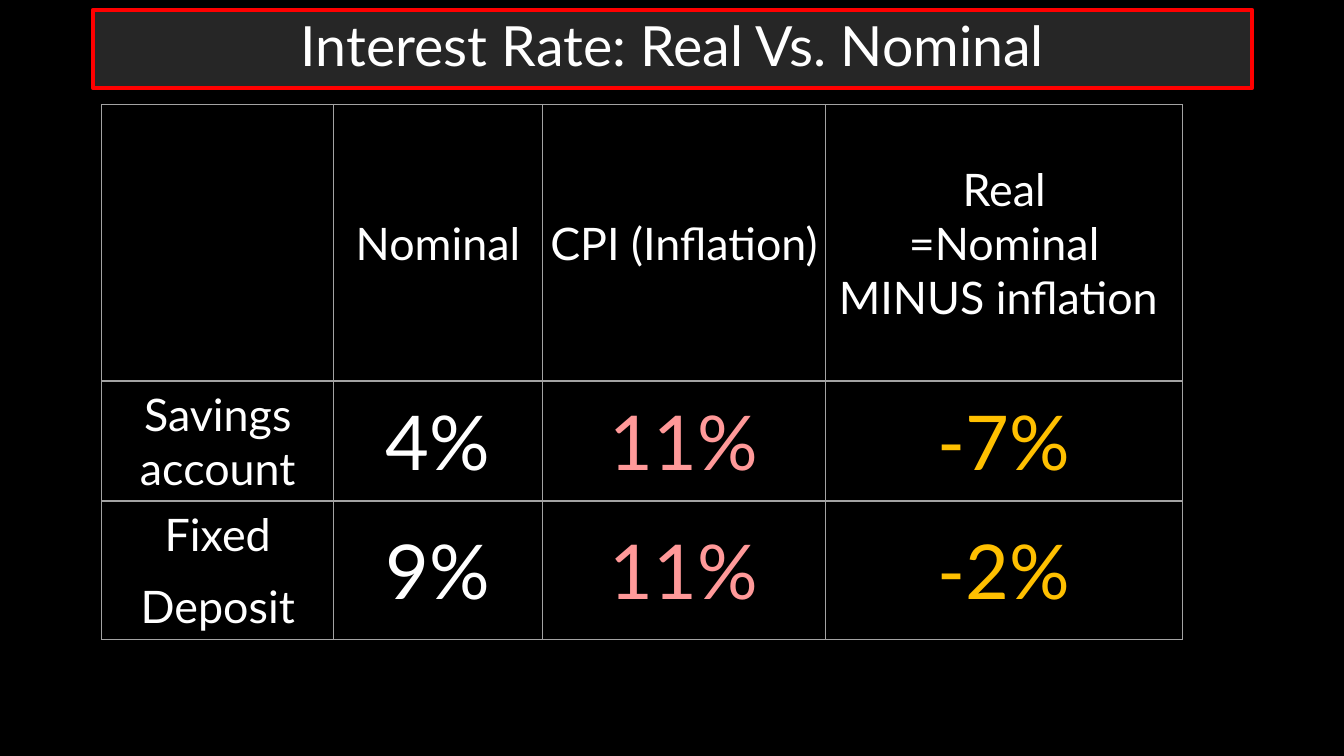
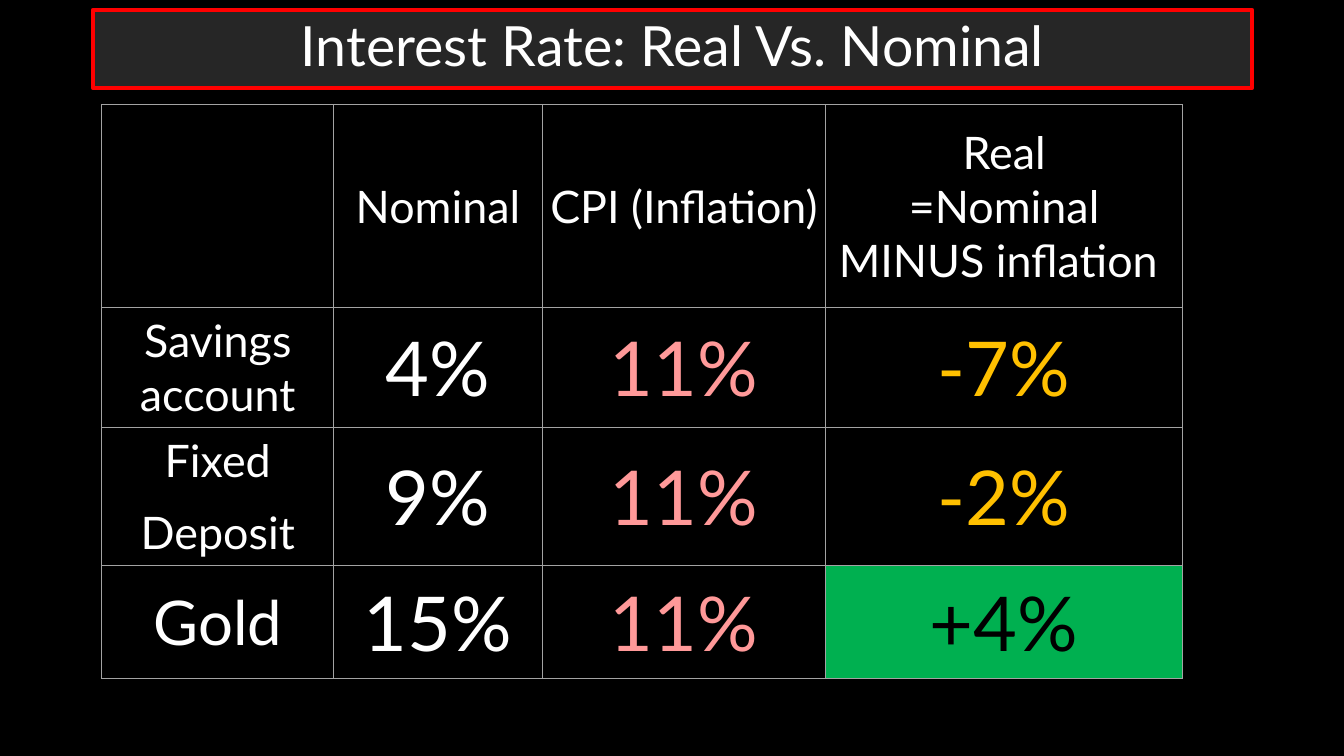
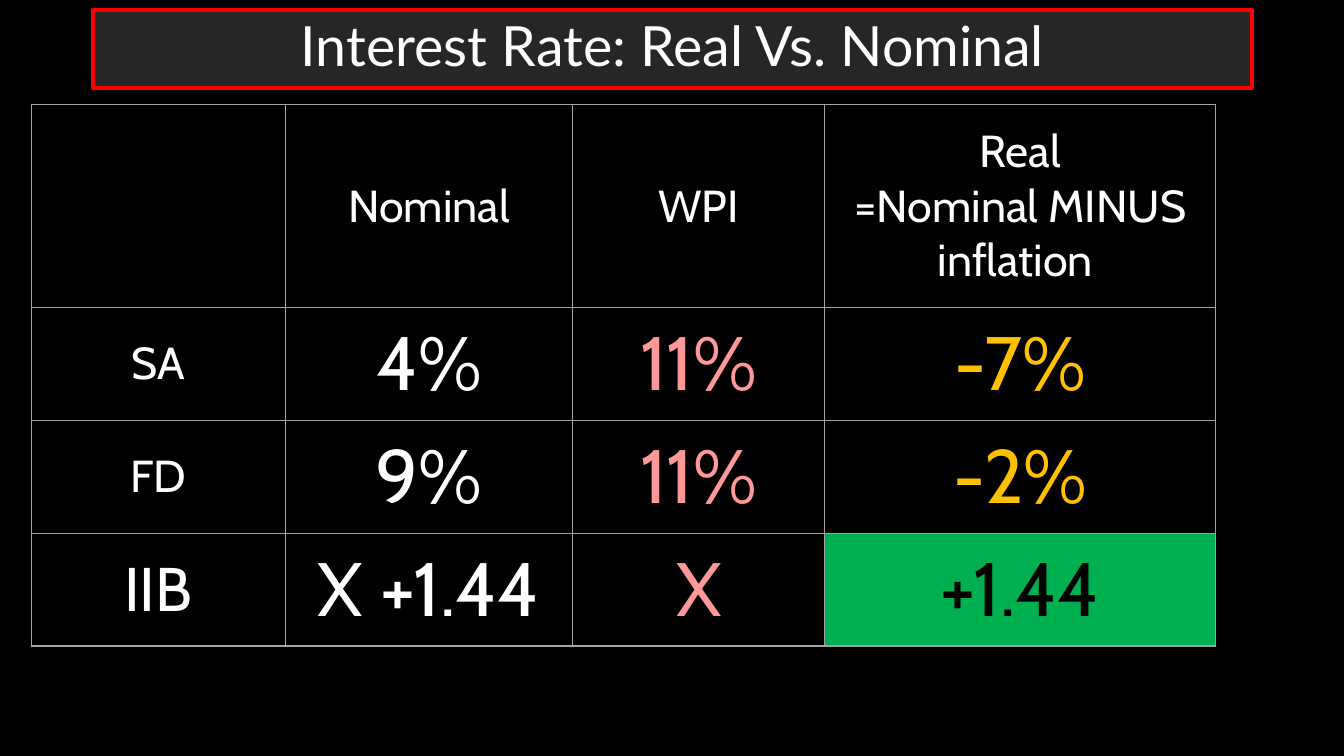
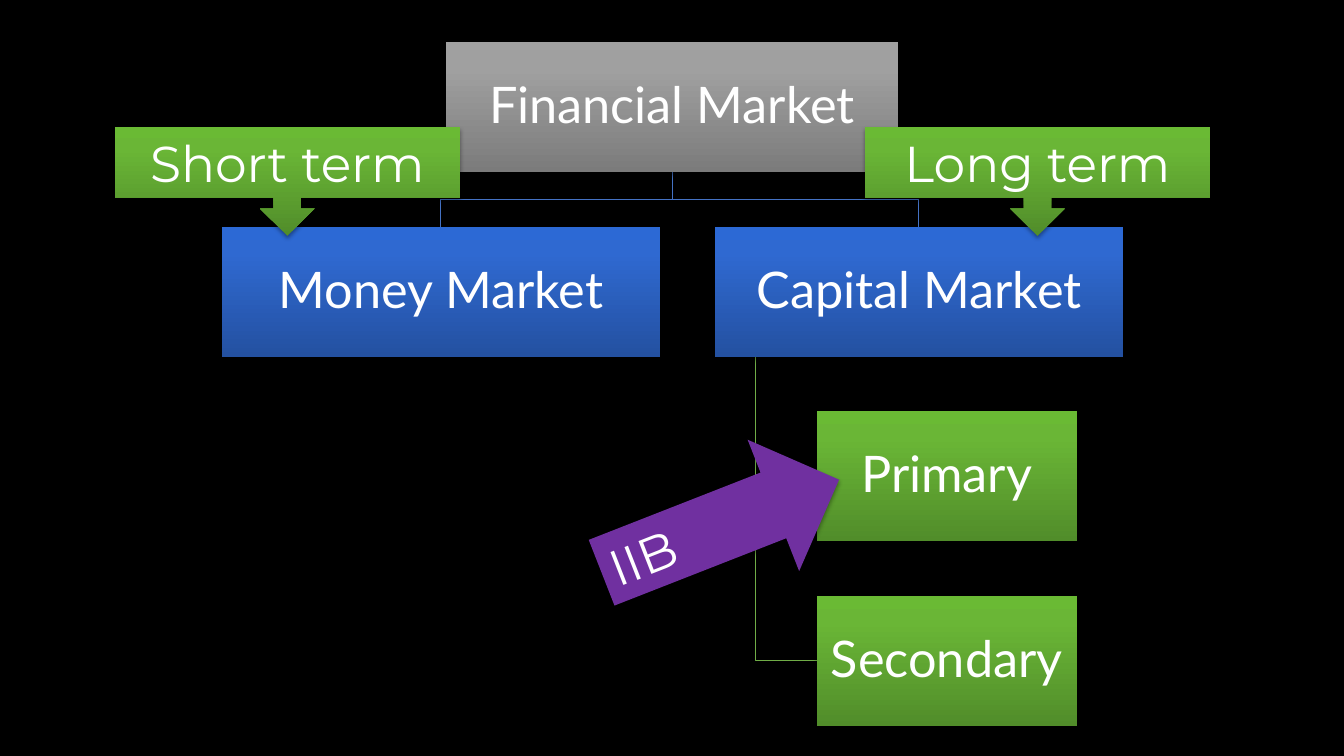
from copy import deepcopy
from dataclasses import dataclass

from pptx import Presentation
from pptx import util as u
from pptx.dml.color import RGBColor
from pptx.enum import shapes, text
from pptx.oxml import parse_xml
from pptx.oxml.ns import nsdecls, qn

BLACK = RGBColor(0x00, 0x00, 0x00)
WHITE = RGBColor(0xFF, 0xFF, 0xFF)
CHARCOAL = RGBColor(0x26, 0x26, 0x26)
RED = RGBColor(0xFF, 0x00, 0x00)
PINK = RGBColor(0xFF, 0x99, 0x99)
AMBER = RGBColor(0xFF, 0xC0, 0x00)
GAIN_GREEN = RGBColor(0x00, 0xB0, 0x50)
PURPLE = RGBColor(0x70, 0x30, 0xA0)
LINE_GREEN = RGBColor(0x70, 0xAD, 0x47)
LINE_BLUE = RGBColor(0x44, 0x72, 0xC4)
BORDER = RGBColor(0xA3, 0xA3, 0xA3)

# Gradient colours from bottom to top, at the shares in STOPS
STOPS = (0, 0.8, 1)
GRAY_BLEND = (RGBColor(0x7B, 0x7B, 0x7B), RGBColor(0xA0, 0xA0, 0xA0), RGBColor(0xA1, 0xA1, 0xA1))
BLUE_BLEND = (RGBColor(0x24, 0x51, 0xA1), RGBColor(0x2F, 0x69, 0xD1), RGBColor(0x2C, 0x69, 0xD5))
GREEN_BLEND = (RGBColor(0x51, 0x8D, 0x2A), RGBColor(0x6A, 0xB6, 0x36), RGBColor(0x6A, 0xBA, 0x34))

BODY_FONT = "Lato"
NOTE_FONT = "Montserrat"
TITLE = "Interest Rate: Real Vs. Nominal"
TITLE_ONLY, BLANK = 5, 6
TABLE_TOP = 1.04
BODY_ROW = 1.12
CELL_INSET = 0.06
BOX_HEIGHT = 1.29
BOX_ROWS = (0.42, 2.25, 4.08, 5.91)
CALLOUT_SIZE = (3.42, 1.08)
REAL_HEADING = "Real\n=Nominal MINUS inflation "


@dataclass(frozen=True)
class RateRow:
    label: str
    nominal: str
    inflation: str
    real: str

    @property
    def beats_inflation(self) -> bool:
        return self.real.startswith("+")


@dataclass(frozen=True)
class RateTable:
    left: float
    columns: tuple
    header_height: float
    price_index: str
    rows: tuple
    font: str = BODY_FONT


@dataclass(frozen=True)
class Box:
    label: str
    left: float
    row: int
    width: float
    blend: tuple


@dataclass(frozen=True)
class Link:
    points: tuple
    color: RGBColor


LONG_ROWS = (
    RateRow("Savings account", "4%", "11%", "-7%"),
    RateRow("Fixed\nDeposit", "9%", "11%", "-2%"),
)
SHORT_ROWS = (
    RateRow("SA", "4%", "11%", "-7%"),
    RateRow("FD", "9%", "11%", "-2%"),
    RateRow("IIB", "X +1.44", "X", "+1.44"),
)
CPI_COLUMNS = (2.3, 2.07, 2.81, 3.54)
TABLES = (
    RateTable(1.01, CPI_COLUMNS, 2.74, "CPI (Inflation)", LONG_ROWS),
    RateTable(1.01, CPI_COLUMNS, 2.01, "CPI (Inflation)",
              LONG_ROWS + (RateRow("Gold", "15%", "11%", "+4%"),)),
    RateTable(0.31, (2.52, 2.85, 2.5, 3.88), 2.01, "WPI", SHORT_ROWS, "Cabin"),
)

BOXES = (
    Box("Financial Market", 4.42, 0, 4.49, GRAY_BLEND),
    Box("Money Market", 2.2, 1, 4.35, BLUE_BLEND),
    Box("Capital Market", 7.09, 1, 4.05, BLUE_BLEND),
    Box("Primary", 8.1, 2, 2.58, GREEN_BLEND),
    Box("Secondary", 8.1, 3, 2.58, GREEN_BLEND),
)


def market_links() -> list[Link]:
    """Elbows down from the root, then from Capital Market to its parts."""
    root_x, stem_x, part_x = 6.67, 7.49, 8.1
    root_y, market_y = BOX_ROWS[0] + BOX_HEIGHT, BOX_ROWS[1]
    mid_y = (root_y + market_y) / 2
    stem_y = market_y + BOX_HEIGHT
    parts = [Link(((stem_x, stem_y), (stem_x, y), (part_x, y)), LINE_GREEN)
             for y in (top + BOX_HEIGHT / 2 for top in BOX_ROWS[:1:-1])]
    markets = [Link(((root_x, root_y), (root_x, mid_y), (x, mid_y), (x, market_y)), LINE_BLUE)
               for x in (9.11, 4.37)]
    return parts + markets


def format_text(tf, font: str, size: float, color: RGBColor, align, after: float = 0,
                spacing: float = 1.0) -> None:
    for p in tf.paragraphs:
        p.alignment = align
        p.space_before, p.space_after = u.Pt(0), u.Pt(after)
        p.line_spacing = spacing
        for r in p.runs:
            r.font.name, r.font.size = font, u.Pt(size)
            r.font.color.rgb = color


def set_insets(target, inset: float) -> None:
    target.margin_left = target.margin_right = u.Inches(inset)
    target.margin_top = target.margin_bottom = u.Inches(inset)


def add_title(s) -> None:
    sp = s.shapes.title
    sp.left, sp.top, sp.width, sp.height = map(u.Inches, (0.92, 0.1, 11.5, 0.77))
    sp._element.spPr.append(parse_xml(
        f'<a:prstGeom {nsdecls("a")} prst="roundRect"><a:avLst/></a:prstGeom>'))
    sp.fill.solid()
    sp.fill.fore_color.rgb = CHARCOAL
    sp.line.color.rgb, sp.line.width = RED, u.Pt(3)
    tf = sp.text_frame
    tf.text = TITLE
    tf.auto_size = text.MSO_AUTO_SIZE.NONE
    tf.vertical_anchor = text.MSO_ANCHOR.MIDDLE
    format_text(tf, BODY_FONT, 39.6, WHITE, text.PP_ALIGN.CENTER, spacing=0.9)


def add_borders(cell) -> None:
    tc_pr = cell._tc.get_or_add_tcPr()
    for i, side in enumerate("LRTB"):
        tc_pr.insert(i, parse_xml(
            f'<a:ln{side} {nsdecls("a")} w="{u.Pt(1)}"><a:solidFill>'
            f'<a:srgbClr val="{BORDER}"/></a:solidFill></a:ln{side}>'))


def fill_cell(cell, words: str, font: str, size: float, color: RGBColor, after: float,
              fill: RGBColor | None = None) -> None:
    cell.text = words
    cell.vertical_anchor = text.MSO_ANCHOR.MIDDLE
    set_insets(cell, CELL_INSET)
    if fill is None:
        cell.fill.background()
    else:
        cell.fill.solid()
        cell.fill.fore_color.rgb = fill
    add_borders(cell)
    format_text(cell.text_frame, font, size, color, text.PP_ALIGN.CENTER, after)


def add_rate_table(s, spec: RateTable) -> None:
    heights = (spec.header_height,) + (BODY_ROW,) * len(spec.rows)
    table = s.shapes.add_table(
        len(heights), len(spec.columns), u.Inches(spec.left), u.Inches(TABLE_TOP),
        u.Inches(sum(spec.columns)), u.Inches(sum(heights))).table
    table.first_row = table.horz_banding = False
    for column, width in zip(table.columns, spec.columns):
        column.width = u.Inches(width)
    for row, height in zip(table.rows, heights):
        row.height = u.Inches(height)

    for c, heading in enumerate(("", "Nominal", spec.price_index, REAL_HEADING)):
        fill_cell(table.cell(0, c), heading, spec.font, 32, WHITE, 0)
    for i, rate in enumerate(spec.rows, start=1):
        gain = rate.beats_inflation
        styles = (
            (rate.label, 44 if gain else 32, WHITE, None),
            (rate.nominal, 54, WHITE, None),
            (rate.inflation, 54, PINK, None),
            (rate.real, 54, BLACK if gain else AMBER, GAIN_GREEN if gain else None),
        )
        for c, (words, size, color, fill) in enumerate(styles):
            fill_cell(table.cell(i, c), words, spec.font, size, color, 13, fill)


def apply_blend(sp, blend: tuple) -> None:
    sp.fill.gradient()
    sp.fill.gradient_angle = 90
    stops = sp._element.spPr.find(".//" + qn("a:gsLst"))
    stops.append(deepcopy(stops[-1]))
    for stop, position, color in zip(sp.fill.gradient_stops, STOPS, blend):
        stop.position = position
        stop.color.rgb = color


def add_shadow(sp) -> None:
    sp.shadow.inherit = False
    sp._element.spPr.find(qn("a:effectLst")).append(parse_xml(
        f'<a:outerShdw {nsdecls("a")} blurRad="{u.Pt(3.1)}" dist="{u.Pt(1.8)}" dir="5400000" '
        f'rotWithShape="0"><a:srgbClr val="{BLACK}"><a:alpha val="35000"/></a:srgbClr>'
        '</a:outerShdw>'))


def add_label_shape(s, kind, at: tuple, words: str, font: str, blend: tuple | None = None):
    """Add a shadowed shape with a 36 pt label; without a blend it is purple."""
    sp = s.shapes.add_shape(kind, *map(u.Inches, at))
    if blend:
        apply_blend(sp, blend)
    else:
        sp.fill.solid()
        sp.fill.fore_color.rgb = PURPLE
    sp.line.fill.background()
    add_shadow(sp)
    tf = sp.text_frame
    tf.text = words
    tf.word_wrap = True
    format_text(tf, font, 36, WHITE, text.PP_ALIGN.CENTER)
    return sp


def add_link(s, link: Link) -> None:
    points = [(u.Inches(x), u.Inches(y)) for x, y in link.points]
    builder = s.shapes.build_freeform(*points[0])
    builder.add_line_segments(points[1:], close=False)
    sp = builder.convert_to_shape()
    sp.fill.background()
    sp.line.color.rgb, sp.line.width = link.color, u.Pt(0.75)
    sp.shadow.inherit = False


def add_market_chart(s) -> None:
    for link in market_links():
        add_link(s, link)
    for box in BOXES:
        at = (box.left, BOX_ROWS[box.row], box.width, BOX_HEIGHT)
        sp = add_label_shape(s, shapes.MSO_SHAPE.RECTANGLE, at, box.label, BODY_FONT, box.blend)
        set_insets(sp.text_frame, 0.03)
        sp.text_frame.paragraphs[0].line_spacing = 0.9

    arrow = add_label_shape(s, shapes.MSO_SHAPE.RIGHT_ARROW, (5.88, 4.52, 2.53, 1.4),
                            "IIB", NOTE_FONT)
    arrow.rotation = 338.6
    arrow.text_frame.paragraphs[0].alignment = text.PP_ALIGN.LEFT
    arrow.text_frame.vertical_anchor = text.MSO_ANCHOR.TOP
    for words, left in (("Short term", 1.14), ("Long term", 8.58)):
        callout = add_label_shape(s, shapes.MSO_SHAPE.DOWN_ARROW_CALLOUT,
                                  (left, 1.26, *CALLOUT_SIZE), words, NOTE_FONT, GREEN_BLEND)
        callout.text_frame.vertical_anchor = text.MSO_ANCHOR.TOP


def main() -> None:
    prs = Presentation()
    prs.slide_width, prs.slide_height = u.Inches(13.33), u.Inches(7.5)
    background = prs.slide_master.background.fill
    background.solid()
    background.fore_color.rgb = BLACK

    for spec in TABLES:
        s = prs.slides.add_slide(prs.slide_layouts[TITLE_ONLY])
        add_title(s)
        add_rate_table(s, spec)
    add_market_chart(prs.slides.add_slide(prs.slide_layouts[BLANK]))
    prs.save("out.pptx")


if __name__ == "__main__":
    main()
